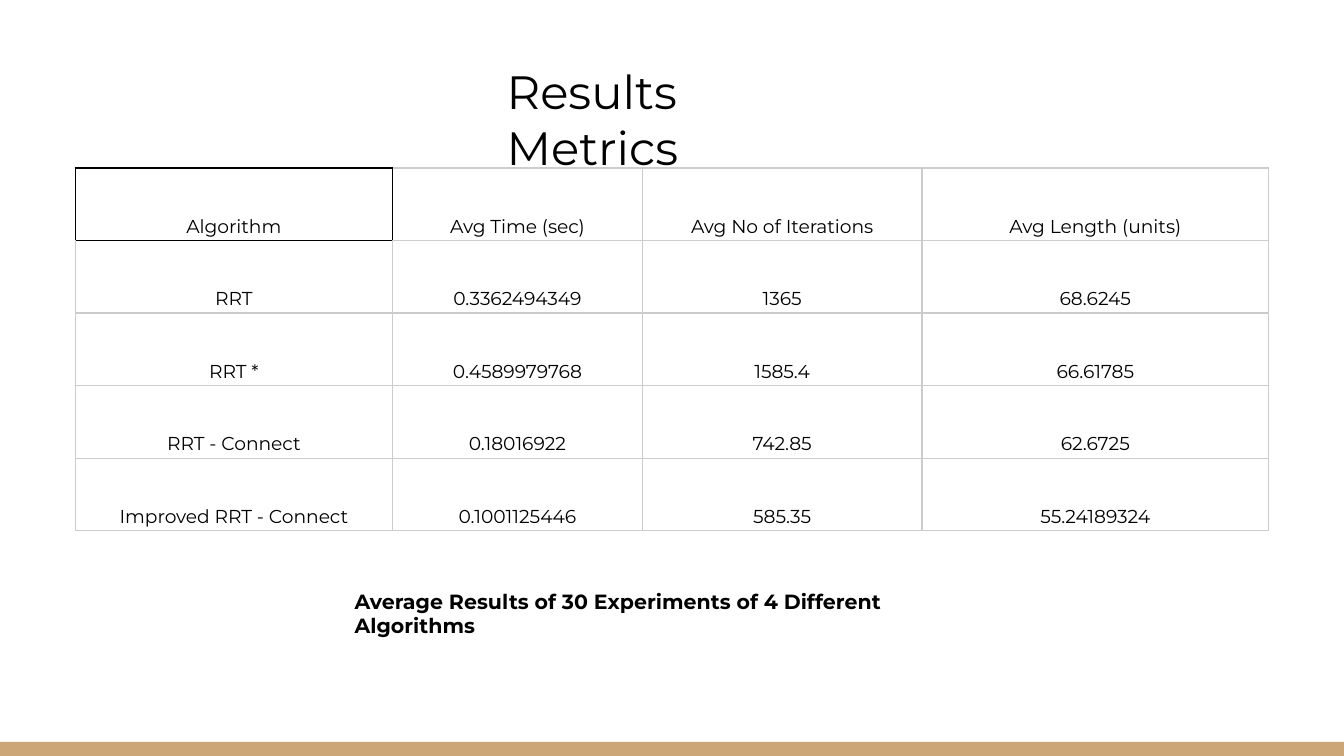
from lxml.etree import SubElement
from pptx import Presentation
from pptx.dml.color import RGBColor
from pptx.enum.shapes import MSO_SHAPE as Shape
from pptx.enum.text import MSO_ANCHOR as Anchor, MSO_AUTO_SIZE as Auto, PP_ALIGN as Align
from pptx.oxml.ns import qn
from pptx.util import Inches, Pt

BLACK = RGBColor(0x00, 0x00, 0x00)
GREY = RGBColor(0xCC, 0xCC, 0xCC)
TAN = RGBColor(0xCC, 0xA6, 0x77)
WHITE = RGBColor(0xFF, 0xFF, 0xFF)
FONT = "Montserrat"

ROWS = [
    ("Algorithm", "Avg Time (sec)", "Avg No of Iterations", "Avg Length (units)"),
    ("RRT", "0.3362494349", "1365", "68.6245"),
    ("RRT *", "0.4589979768", "1585.4", "66.61785"),
    ("RRT - Connect", "0.18016922", "742.85", "62.6725"),
    ("Improved RRT - Connect", "0.1001125446", "585.35", "55.24189324"),
]
WIDTHS = (2.36, 1.86, 2.08, 2.58)
TALL = 0.54
DARK = {(0, 0): "LRTB", (0, 1): "L", (1, 0): "T"}


def write(frame, text, size=10, bold=False, align=Align.LEFT, space=1.0):
    frame.text = text
    para = frame.paragraphs[0]
    para.alignment = align
    para.line_spacing = space
    font = para.runs[0].font
    font.name = FONT
    font.size = Pt(size)
    font.bold = bold
    font.color.rgb = BLACK


def fit(shape, box):
    shape.left, shape.top, shape.width, shape.height = map(Inches, box)
    frame = shape.text_frame
    frame.word_wrap = True
    frame.auto_size = Auto.SHAPE_TO_FIT_TEXT
    frame.vertical_anchor = Anchor.TOP
    frame.margin_left = frame.margin_right = Inches(0.1)
    frame.margin_top = frame.margin_bottom = Inches(0.1)
    return frame


def edge(cell, dark):
    props = cell._tc.get_or_add_tcPr()
    for side in "LRTB":
        line = SubElement(props, qn(f"a:ln{side}"), w=str(Pt(0.75)))
        fill = SubElement(line, qn("a:solidFill"))
        SubElement(fill, qn("a:srgbClr"), val=str(BLACK if side in dark else GREY))


def add_bar(slide, box):
    bar = slide.shapes.add_shape(Shape.RECTANGLE, *map(Inches, box))
    bar.shadow.inherit = False
    bar.fill.solid()
    bar.fill.fore_color.rgb = TAN
    bar.line.fill.background()


def add_title(slide, box):
    write(fit(slide.shapes.title, box), "Results Metrics", size=25)


def add_grid(slide, left, top):
    box = (left, top, sum(WIDTHS), TALL * len(ROWS))
    grid = slide.shapes.add_table(len(ROWS), len(WIDTHS), *map(Inches, box)).table
    grid.first_row = grid.horz_banding = False
    for col, width in zip(grid.columns, WIDTHS):
        col.width = Inches(width)
    for r, row in enumerate(ROWS):
        grid.rows[r].height = Inches(TALL)
        for c, text in enumerate(row):
            cell = grid.cell(r, c)
            cell.vertical_anchor = Anchor.BOTTOM
            cell.margin_left = cell.margin_right = Inches(0.03)
            cell.margin_top = cell.margin_bottom = Inches(0.02)
            write(cell.text_frame, text, align=Align.CENTER, space=1.15)
            edge(cell, DARK.get((r, c), ""))
            cell.fill.background()


def add_note(slide, box):
    frame = fit(slide.shapes.add_textbox(*map(Inches, box)), box)
    write(frame, "Average Results of 30 Experiments of 4 Different Algorithms", size=11, bold=True)


def main():
    deck = Presentation()
    deck.slide_width = Inches(10)
    deck.slide_height = deck.slide_width * 9 // 16
    slide = deck.slides.add_slide(deck.slide_layouts[5])
    slide.background.fill.solid()
    slide.background.fill.fore_color.rgb = WHITE
    add_bar(slide, (0, 5.52, 10, 0.11))
    add_title(slide, (3.67, 0.37, 2.66, 0.62))
    add_grid(slide, 0.56, 1.25)
    add_note(slide, (2.54, 4.28, 4.92, 0.39))
    deck.save("out.pptx")


if __name__ == "__main__":
    main()
